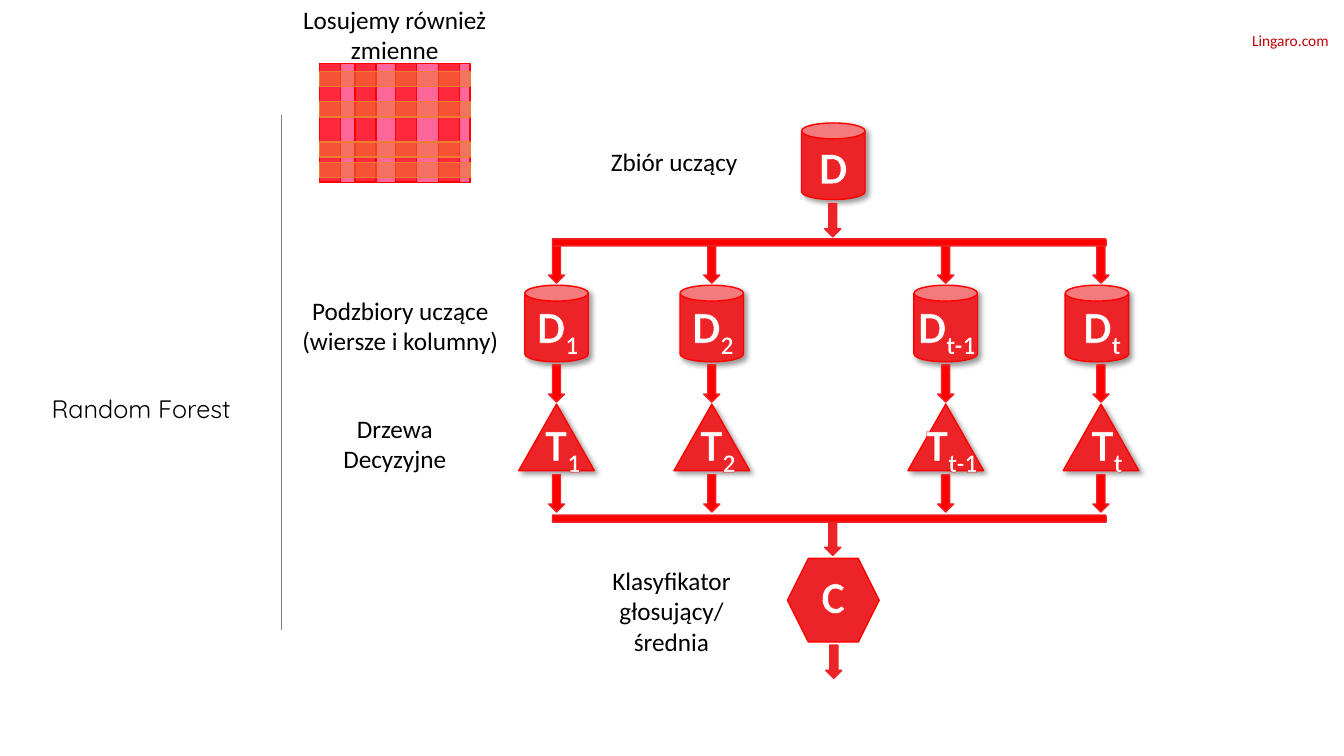
"""Build the Random Forest diagram slide."""
from dataclasses import dataclass

from lxml import etree
from pptx import Presentation
from pptx import util as u
from pptx.dml.color import RGBColor
from pptx.enum import shapes, text
from pptx.oxml import ns

KINDS = shapes.MSO_SHAPE


@dataclass(frozen=True)
class Theme:
    """Colours, fonts and type sizes of the slide."""
    ink: str = "000000"
    white: str = "FFFFFF"
    red: str = "FF0000"
    brick: str = "EC2427"
    pink: str = "FF6699"
    orange: str = "ED7D31"
    grey: str = "808080"
    address: str = "C00000"
    body_font: str = "Calibri"
    title_font: str = "Quicksand"
    small: float = 11
    body: float = 18
    mark: float = 32
    outline: float = 0.8


def add_element(parent, tag, **attributes):
    """Append a drawing element to its parent."""
    values = {name: str(value) for name, value in attributes.items()}
    return etree.SubElement(parent, ns.qn(tag), values)


def write(para, words, *, font, size, color, bold=False, outline=None, base=None):
    """Add a formatted span to a paragraph."""
    span = para.add_run()
    span.text = words
    span.font.name = font
    span.font.size = u.Pt(size)
    span.font.bold = bold
    span.font.color.rgb = RGBColor.from_string(color)
    properties = span.font._element
    if base:
        properties.set("baseline", str(base * 1000))
    if outline:
        line = etree.Element(ns.qn("a:ln"), {"w": str(u.Pt(outline))})
        fill = add_element(line, "a:solidFill")
        add_element(fill, "a:srgbClr", val=outline_color(color))
        properties.insert(0, line)


def outline_color(color):
    """Return the outline colour that sets off a text colour."""
    return Theme.red if color == Theme.white else color


class Diagram:
    """Draw styled elements on one slide."""

    def __init__(self, page, theme):
        """Keep the slide and its theme."""
        self.page = page
        self.theme = theme

    def shape(self, kind, left, top, width, height, fill, line, *,
              alpha=None, shadow=False, flip=False):
        """Add a filled preset shape."""
        item = self.page.shapes.add_shape(
            kind, *map(u.Inches, (left, top, width, height)))
        item.shadow.inherit = False
        item.fill.solid()
        item.fill.fore_color.rgb = RGBColor.from_string(fill)
        item.line.color.rgb = RGBColor.from_string(line)
        item.line.width = u.Pt(1)
        properties = item._element.spPr
        if alpha:
            color = properties.find(ns.qn("a:solidFill"))[0]
            add_element(color, "a:alpha", val=alpha * 1000)
        if flip:
            properties.find(ns.qn("a:xfrm")).set("flipV", "1")
        if shadow:
            effects = properties.find(ns.qn("a:effectLst"))
            outer = add_element(effects, "a:outerShdw", blurRad=u.Pt(4), dist=u.Pt(3),
                                dir=45 * 60000, algn="tl", rotWithShape=0)
            color = add_element(outer, "a:srgbClr", val=self.theme.ink)
            add_element(color, "a:alpha", val=40000)

    def node(self, kind, left, top, width, height, **options):
        """Add a brick shape with a red edge."""
        self.shape(kind, left, top, width, height,
                   self.theme.brick, self.theme.red, **options)

    def arrow(self, center, top, height, fill):
        """Add a down arrow around a vertical centre line."""
        self.shape(KINDS.DOWN_ARROW, center - 0.08, top, 0.16, height,
                   fill, self.theme.brick)

    def bar(self, top):
        """Add a horizontal bar that joins the branches."""
        self.shape(KINDS.ROUND_1_RECTANGLE, 5.48, top, 5.49, 0.07,
                   self.theme.red, self.theme.brick)

    def rule(self, left, top, bottom):
        """Add the thin vertical rule."""
        line = self.page.shapes.add_connector(
            shapes.MSO_CONNECTOR.STRAIGHT, *map(u.Inches, (left, top, left, bottom)))
        line.line.color.rgb = RGBColor.from_string(self.theme.grey)
        line.line.width = u.Pt(0.5)
        add_element(line._element.spPr, "a:effectLst")

    def box(self, left, top, width, height, *, wrap=True):
        """Add an empty text box."""
        frame = self.page.shapes.add_textbox(
            *map(u.Inches, (left, top, width, height))).text_frame
        frame.word_wrap = wrap
        return frame

    def label(self, lines, left, top, width, height, *, font=None, size=None,
              color=None, align=text.PP_ALIGN.CENTER, wrap=True, spacing=None):
        """Add a label with one paragraph per line."""
        frame = self.box(left, top, width, height, wrap=wrap)
        for index, words in enumerate(lines):
            para = frame.add_paragraph() if index else frame.paragraphs[0]
            para.alignment = align
            para.line_spacing = spacing
            write(para, words, font=font or self.theme.body_font,
                  size=size or self.theme.body, color=color or self.theme.ink)

    def mark(self, letter, center, top, suffix="", width=0.57):
        """Add a white letter with an optional subscript."""
        frame = self.box(center - width / 2, top, width, 0.64, wrap=False)
        para = frame.paragraphs[0]
        para.alignment = text.PP_ALIGN.CENTER
        style = dict(font=self.theme.body_font, size=self.theme.mark,
                     color=self.theme.white, bold=True, outline=self.theme.outline)
        write(para, letter, **style)
        if suffix:
            write(para, suffix, base=-25, **style)

    def branch(self, suffix, center, can_center, width):
        """Add one subset, its tree and the arrows between them."""
        self.node(KINDS.CAN, can_center - 0.315, 2.83, 0.63, 0.76, shadow=True)
        self.node(KINDS.FLOWCHART_MERGE, center - 0.375, 4.01, 0.75, 0.66,
                  shadow=True, flip=True)
        for top in (2.44, 3.62, 4.71):
            self.arrow(center, top, 0.37, self.theme.red)
        self.mark("D", center + 0.01, 2.91, suffix, width)
        self.mark("T", center + 0.06, 4.08, suffix, width)

    def sample_grid(self, left, top, width):
        """Add the table with drawn rows and columns."""
        theme = self.theme
        self.shape(KINDS.RECTANGLE, left, top, width, 1.18, theme.pink, theme.red)
        for offset in (0, 0.35, 0.75, 1.18):
            self.shape(KINDS.RECTANGLE, left + offset, top, 0.21, 1.17,
                       theme.red, theme.red, alpha=60)
        for offset in (0.08, 0.38, 0.78, 0.98):
            self.shape(KINDS.RECTANGLE, left, top + offset, width, 0.15,
                       theme.orange, theme.orange, alpha=50)


def main():
    """Build and save the slide."""
    deck = Presentation()
    deck.slide_width, deck.slide_height = u.Inches(13.33), u.Inches(7.5)
    theme = Theme()
    diagram = Diagram(deck.slides.add_slide(deck.slide_layouts[6]), theme)
    left = text.PP_ALIGN.LEFT

    diagram.label(["Lingaro.com"], 12.32, 0.26, 1.01, 0.29, size=theme.small,
                  color=theme.address, align=left, wrap=False)
    diagram.rule(2.79, 1.14, 6.25)
    diagram.label(["Random Forest"], 0.12, 3.89, 2.56, 1.9,
                  font=theme.title_font, spacing=0.9)

    diagram.node(KINDS.CAN, 7.95, 1.22, 0.63, 0.76, shadow=True)
    diagram.mark("D", 8.265, 1.33)
    diagram.arrow(8.26, 2.02, 0.33, theme.brick)
    diagram.bar(2.37)
    diagram.arrow(8.26, 5.18, 0.33, theme.brick)
    diagram.bar(5.11)
    for suffix, center, can_center, width in (
            ("1", 5.52, 5.52, 0.63), ("2", 7.06, 7.06, 0.63),
            ("t-1", 9.38, 9.38, 0.86), ("t", 10.92, 10.88, 0.86)):
        diagram.branch(suffix, center, can_center, width)
    diagram.node(KINDS.HEXAGON, 7.81, 5.54, 0.91, 0.83)
    diagram.mark("C", 8.265, 5.59)
    diagram.arrow(8.27, 6.4, 0.33, theme.brick)

    diagram.label(["Zbiór uczący"], 5.96, 1.4, 1.49, 0.4, align=left, wrap=False)
    diagram.label(["Podzbiory uczące", "(wiersze i kolumny)"], 2.88, 2.88, 2.18, 0.71)
    diagram.label(["Drzewa Decyzyjne"], 3.17, 4.05, 1.49, 0.71)
    diagram.label(["Klasyfikator głosujący/", "średnia"], 5.69, 5.56, 1.94, 1.01)
    diagram.sample_grid(3.17, 0.63, 1.49)
    diagram.label(["Losujemy również zmienne"], 2.75, -0.01, 2.33, 0.71)
    deck.save("out.pptx")


if __name__ == "__main__":
    main()
